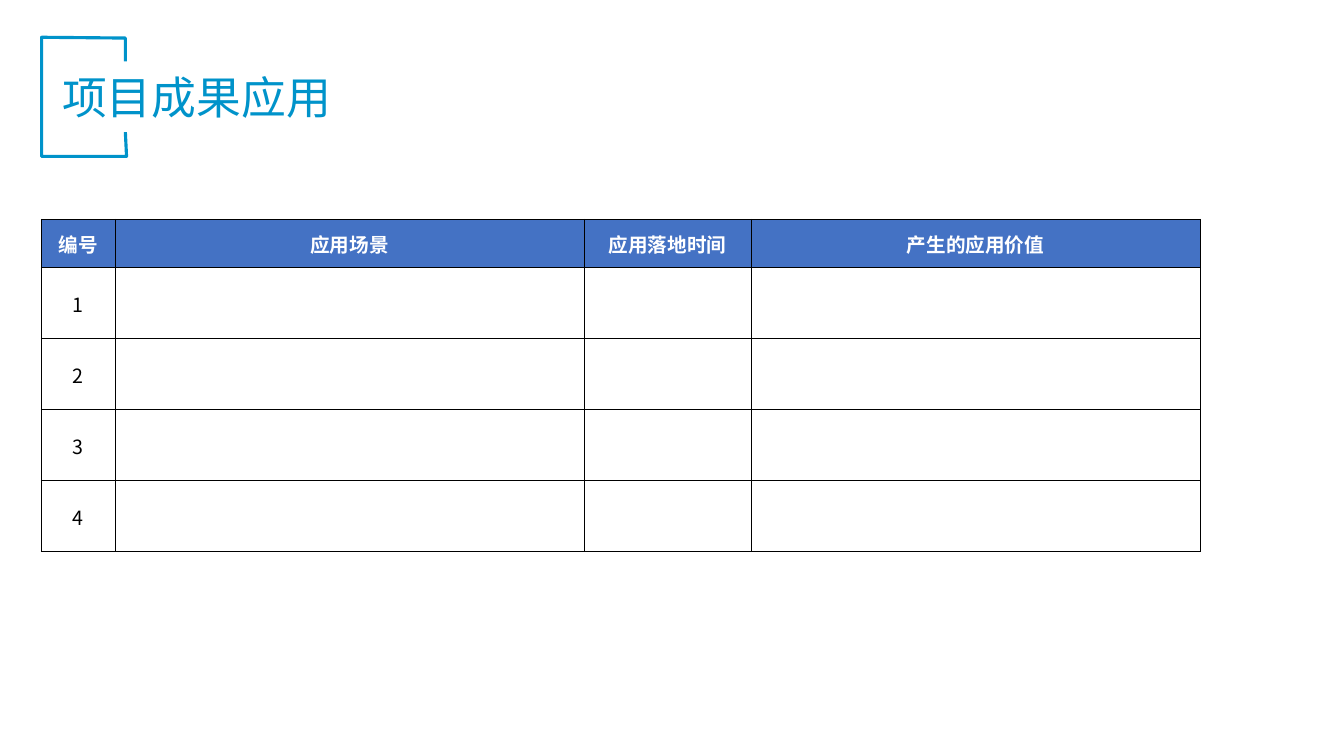
from dataclasses import dataclass

from lxml import etree
from pptx import Presentation
from pptx import util as u
from pptx.dml.color import RGBColor
from pptx.enum import text
from pptx.oxml import ns

COLORS = {"accent": "0093CA", "header": "4472C4", "white": "FFFFFF", "black": "000000"}
FONT = "Noto Sans CJK SC"


@dataclass(frozen=True)
class Column:
    heading: str
    width: float


COLUMNS = [
    Column("编号", 1.86),
    Column("应用场景", 11.82),
    Column("应用落地时间", 4.21),
    Column("产生的应用价值", 11.31),
]
ENTRY_COUNT = 4
HEADER_HEIGHT, ENTRY_HEIGHT = 1.21, 1.79
BRACKET = [(3.16, 3.33), (3.19, 3.94), (1.05, 3.94), (1.05, 0.94), (3.16, 0.96), (3.16, 1.55)]


def rgb(name: str) -> RGBColor:
    return RGBColor.from_string(COLORS[name])


def format_text(tf, size: float, color: str, bold: bool = False) -> None:
    for p in tf.paragraphs:
        for r in p.runs:
            r.font.size = u.Pt(size)
            r.font.bold = bold
            r.font.name = FONT
            r.font.color.rgb = rgb(color)
            ea = etree.SubElement(r.font._element, ns.qn("a:ea"))
            ea.set("typeface", FONT)


def draw_bracket(slide) -> None:
    points = [(u.Cm(x), u.Cm(y)) for x, y in BRACKET]
    builder = slide.shapes.build_freeform(*points[0])
    builder.add_line_segments(points[1:], close=False)
    sp = builder.convert_to_shape()
    sp.shadow.inherit = False
    sp.fill.background()
    sp.line.color.rgb = rgb("accent")
    sp.line.width = u.Pt(2.25)
    slide.shapes.title._element.addprevious(sp._element)


def draw_title(slide, title: str) -> None:
    sp = slide.shapes.title
    sp.left, sp.top, sp.width, sp.height = u.Cm(1.31), u.Cm(1.63), u.Cm(24.77), u.Cm(1.63)
    tf = sp.text_frame
    tf.text = title
    tf.word_wrap = True
    tf.vertical_anchor = text.MSO_ANCHOR.MIDDLE
    tf.paragraphs[0].alignment = text.PP_ALIGN.LEFT
    format_text(tf, 32, "accent")


def set_borders(cell, top: float) -> None:
    tc_pr = cell._tc.get_or_add_tcPr()
    widths = {"lnL": 0.5, "lnR": 0.5, "lnT": top, "lnB": 0.5}
    for i, (side, width) in enumerate(widths.items()):
        ln = etree.Element(ns.qn(f"a:{side}"), w=str(u.Pt(width)))
        fill = etree.SubElement(ln, ns.qn("a:solidFill"))
        etree.SubElement(fill, ns.qn("a:srgbClr"), val=COLORS["black"])
        tc_pr.insert(i, ln)


def draw_cell(cell, value: str, header: bool) -> None:
    cell.margin_left = cell.margin_right = cell.margin_top = u.Cm(0.03)
    cell.margin_bottom = 0
    cell.vertical_anchor = text.MSO_ANCHOR.MIDDLE
    if header:
        cell.fill.solid()
        cell.fill.fore_color.rgb = rgb("header")
    else:
        cell.fill.background()
    set_borders(cell, 1 if header else 0.5)
    if value:
        tf = cell.text_frame
        tf.text = value
        tf.paragraphs[0].alignment = text.PP_ALIGN.CENTER
        format_text(tf, 14, "white" if header else "black", header)


def draw_table(slide) -> None:
    blanks = [""] * (len(COLUMNS) - 1)
    rows = [[c.heading for c in COLUMNS]]
    rows += [[str(n), *blanks] for n in range(1, ENTRY_COUNT + 1)]
    width = sum(c.width for c in COLUMNS)
    height = HEADER_HEIGHT + ENTRY_COUNT * ENTRY_HEIGHT
    table = slide.shapes.add_table(
        len(rows), len(COLUMNS), u.Cm(1.04), u.Cm(5.53), u.Cm(width), u.Cm(height)
    ).table
    table.first_row = table.horz_banding = False
    for table_column, column in zip(table.columns, COLUMNS):
        table_column.width = u.Cm(column.width)
    for i, values in enumerate(rows):
        table.rows[i].height = u.Cm(ENTRY_HEIGHT if i else HEADER_HEIGHT)
        for j, value in enumerate(values):
            draw_cell(table.cell(i, j), value, i == 0)


def main() -> None:
    prs = Presentation()
    prs.slide_width, prs.slide_height = u.Cm(33.87), u.Cm(19.05)
    slide = prs.slides.add_slide(prs.slide_layouts[5])
    draw_bracket(slide)
    draw_title(slide, "项目成果应用")
    draw_table(slide)
    prs.save("out.pptx")


if __name__ == "__main__":
    main()
